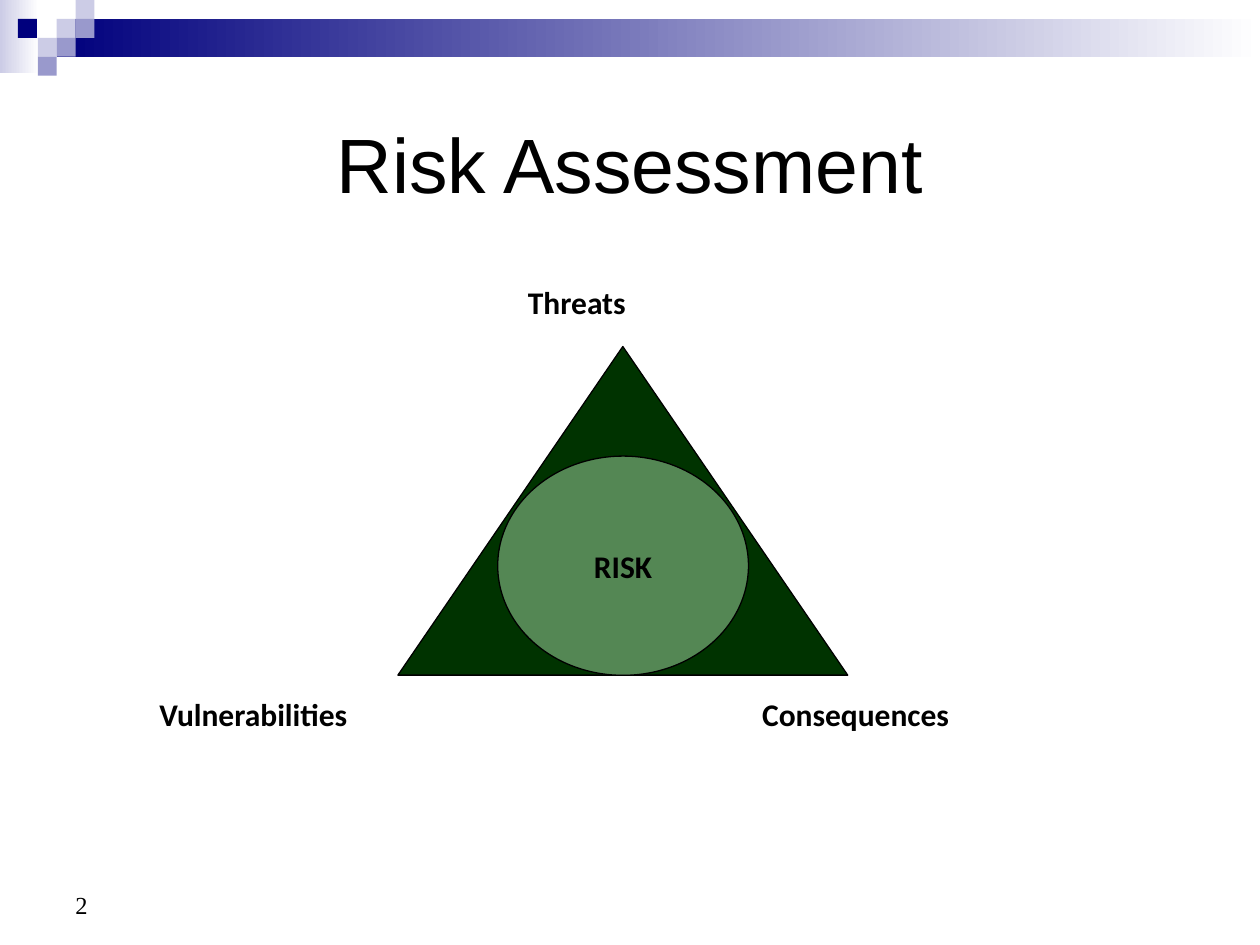
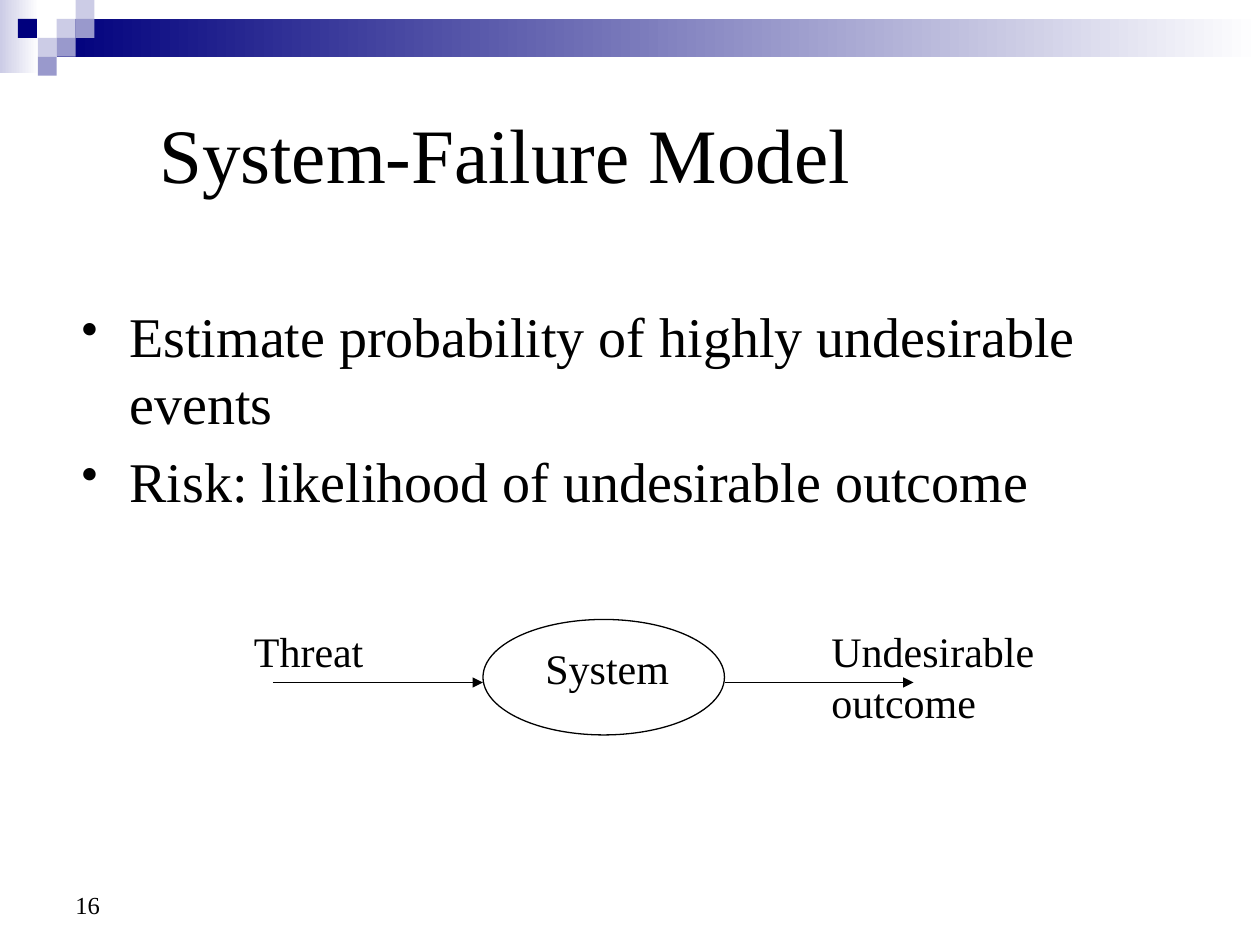
"""Builds two risk slides on a grid of twelve cells to the inch."""
from lxml import etree
from pptx import Presentation
from pptx.dml.color import RGBColor
from pptx.enum.shapes import MSO_CONNECTOR, MSO_SHAPE
from pptx.enum.text import MSO_ANCHOR, PP_ALIGN
from pptx.oxml.ns import qn
from pptx.util import Inches, Pt

RECT, OVAL, PEAK = MSO_SHAPE.RECTANGLE, MSO_SHAPE.OVAL, MSO_SHAPE.ISOSCELES_TRIANGLE
LINE = MSO_CONNECTOR.STRAIGHT
TOP, MID, LOW = MSO_ANCHOR.TOP, MSO_ANCHOR.MIDDLE, MSO_ANCHOR.BOTTOM
LEFT, MID_ROW = PP_ALIGN.LEFT, PP_ALIGN.CENTER
CELLS, TILE = 12, 1.8
INK, NAVY, LILAC, PALE, WHITE = "000000", "00007D", "9999CC", "CCCCE6", "FFFFFF"
PINE, MINT = "003300", "CCFFCC"

FADES = [((0, 0, 3.7, 7), PALE), ((3 * TILE, TILE, 120 - 3 * TILE, 2 * TILE), NAVY)]
TILES = [(3, 1, PALE), (4, 0, PALE), (4, 1, LILAC), (2, 2, PALE),
         (0.95, 1, NAVY), (3, 2, LILAC), (2, 3, LILAC)]

SERIF = "Times New Roman"
STYLES = {
    "page": {"name": SERIF, "size": Pt(14)},
    "sans": {"name": "Arial", "size": Pt(44)},
    "serif": {"name": SERIF, "size": Pt(44)},
    "body": {"name": SERIF, "size": Pt(32)},
    "label": {"name": SERIF, "size": Pt(24)},
    "bold": {"name": "Calibri", "size": Pt(18), "bold": True},
}

RISK = {
    "page": "2",
    "shapes": [(PEAK, (37.9, 33, 42.84, 31.3), PINE, None, ""),
               (OVAL, (47.4, 43.44, 23.88, 20.88), MINT, 41, "RISK")],
    "lines": [],
    "texts": [(["Risk Assessment"], (9, 8, 102, 15), "sans", MID, MID_ROW),
              (["Threats"], (49.1, 26.4, 24, 4.8), "bold", TOP, LEFT),
              (["Vulnerabilities"], (14, 65.6, 35, 4.8), "bold", TOP, LEFT),
              (["Consequences"], (71.4, 65.6, 36.6, 4.8), "bold", TOP, LEFT)],
}
MODEL = {
    "page": "16",
    "shapes": [(OVAL, (46, 59, 23, 11), None, None, "")],
    "lines": [(26, 46, 65), (69, 87, 65)],
    "texts": [(["System-Failure Model"], (14, 7, 96.8, 15), "serif", MID, LEFT),
              (["Estimate probability of highly undesirable events",
                "Risk: likelihood of undesirable outcome"],
               (6.6, 28.1, 104.4, 50.9), "body", TOP, LEFT),
              (["Threat"], (23, 59, 14, 6), "label", TOP, LEFT),
              (["System"], (50.76, 60.6, 15, 6), "label", TOP, LEFT),
              (["Undesirable", "outcome"], (78, 59, 23, 10.8), "label", TOP, LEFT)],
}


def hue(code):
    return RGBColor.from_string(code)


def grid(*nums):
    return [Inches(n / CELLS) for n in nums]


def node(top, tag, **vals):
    return etree.SubElement(top, qn(tag), **vals)


def bullet(par, first):
    props = par._p.get_or_add_pPr()
    props.set("marL", str(Inches(0.38)))
    props.set("indent", str(-Inches(0.38)))
    node(props, "a:buSzPct", val="85000")
    node(props, "a:buChar", char="•")
    par.space_before = Pt(0 if first else 6.4)


def write(shape, rows, style, anchor, align):
    frame = shape.text_frame
    frame.word_wrap, frame.vertical_anchor = True, anchor
    for num, row in enumerate(rows):
        par = frame.add_paragraph() if num else frame.paragraphs[0]
        par.alignment = align
        if style == "body":
            bullet(par, num == 0)
        run = par.add_run()
        run.text = row
        for key, val in STYLES[style].items():
            setattr(run.font, key, val)
        run.font.color.rgb = hue(INK)


def draw(slide, kind, box, fill=None, edge=True):
    shape = slide.shapes.add_shape(kind, *grid(*box))
    shape.shadow.inherit = False
    if fill:
        shape.fill.solid()
        shape.fill.fore_color.rgb = hue(fill)
    else:
        shape.fill.background()
    if edge:
        shape.line.color.rgb, shape.line.width = hue(INK), Pt(0.75)
    else:
        shape.line.fill.background()
    return shape


def arrow(slide, start, end, row):
    link = slide.shapes.add_connector(LINE, *grid(start, row, end, row))
    link.line.color.rgb, link.line.width = hue(INK), Pt(0.75)
    node(link.line._get_or_add_ln(), "a:tailEnd", type="triangle")
    node(link._element.spPr, "a:effectLst")


def banner(slide):
    for box, tint in FADES:
        fill = draw(slide, RECT, box, edge=False).fill
        fill.gradient()
        fill.gradient_angle = 0
        for stop, code in zip(fill.gradient_stops, (tint, WHITE)):
            stop.color.rgb = hue(code)
    for col, row, tint in TILES:
        draw(slide, RECT, (col * TILE, row * TILE, TILE, TILE), tint, False)


def build(deck, data):
    slide = deck.slides.add_slide(deck.slide_layouts[6])
    banner(slide)
    for kind, box, fill, alpha, word in data["shapes"]:
        shape = draw(slide, kind, box, fill)
        if alpha:
            tint = shape._element.spPr.find(".//" + qn("a:srgbClr"))
            node(tint, "a:alpha", val=str(alpha * 1000))
        if word:
            write(shape, [word], "bold", MID, MID_ROW)
    for line in data["lines"]:
        arrow(slide, *line)
    page = ([data["page"]], (6, 82, 28, 6.2), "page", LOW, LEFT)
    for rows, box, *look in [page] + data["texts"]:
        write(slide.shapes.add_textbox(*grid(*box)), rows, *look)


def main():
    deck = Presentation()
    deck.slide_width, deck.slide_height = grid(120, 90)
    for data in (RISK, MODEL):
        build(deck, data)
    deck.save("out.pptx")


if __name__ == "__main__":
    main()
